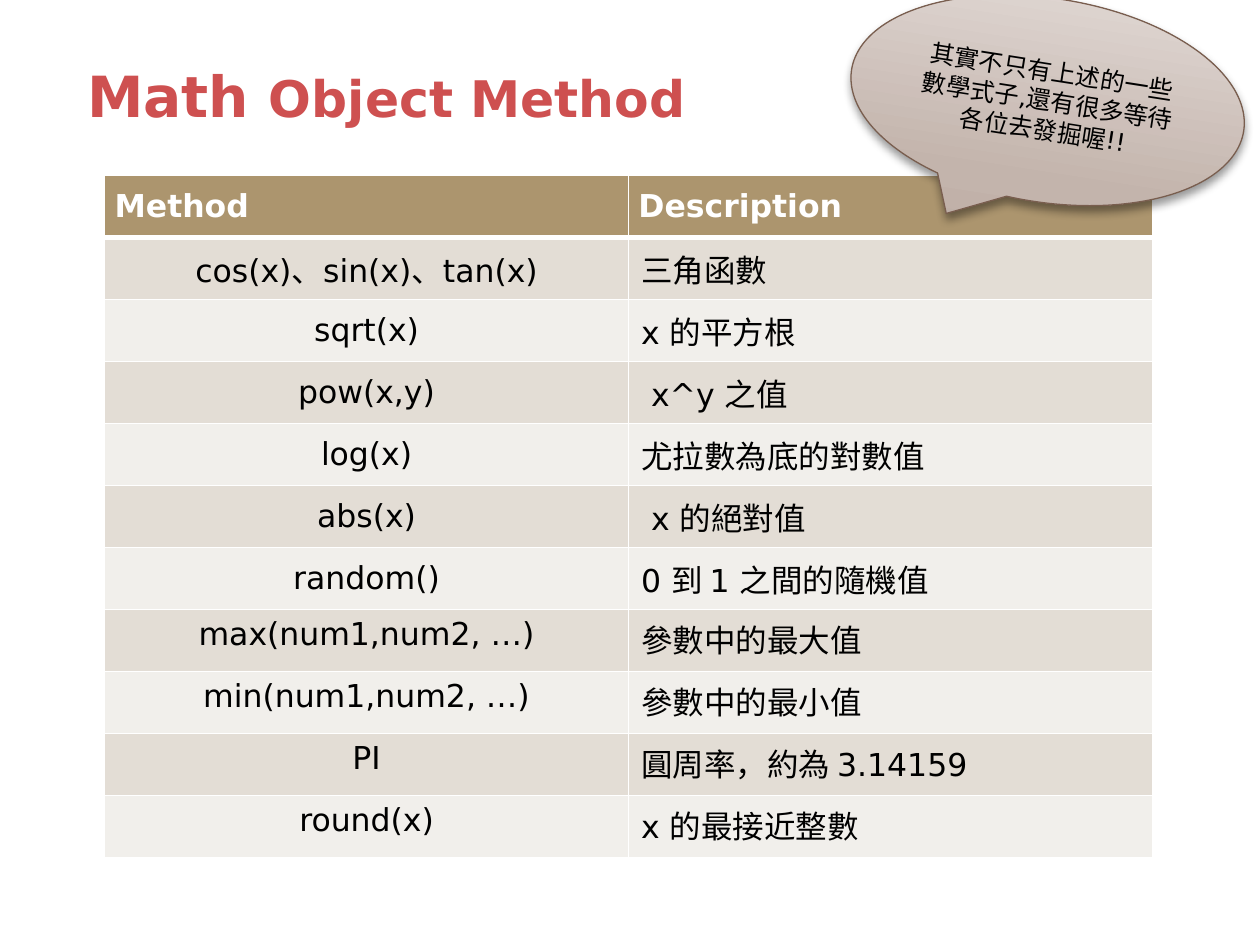
from lxml import etree
from pptx import Presentation
from pptx.dml.color import RGBColor
from pptx.enum.shapes import MSO_SHAPE
from pptx.enum.text import MSO_ANCHOR, MSO_AUTO_SIZE, PP_ALIGN
from pptx.oxml import parse_xml
from pptx.oxml.ns import nsdecls, qn
from pptx.util import Cm, Pt

CALLOUT = MSO_SHAPE.OVAL_CALLOUT
LEFT, CENTER = PP_ALIGN.LEFT, PP_ALIGN.CENTER
TOP, MIDDLE, BOTTOM = MSO_ANCHOR.TOP, MSO_ANCHOR.MIDDLE, MSO_ANCHOR.BOTTOM
NO_AUTOFIT = MSO_AUTO_SIZE.NONE

FONT = "DejaVu Sans"
BLACK = RGBColor(0x00, 0x00, 0x00)
WHITE = RGBColor(0xFF, 0xFF, 0xFF)
RED = RGBColor(0xCE, 0x50, 0x50)
HEADER_FILL = RGBColor(0xAC, 0x95, 0x6E)
BAND_FILLS = (RGBColor(0xF1, 0xEF, 0xEB), RGBColor(0xE3, 0xDD, 0xD5))
CALLOUT_LINE = RGBColor(0x79, 0x5E, 0x4F)
CALLOUT_STOPS = (
    (0, RGBColor(0xBC, 0xAC, 0xA4)),
    (25, RGBColor(0xC3, 0xB4, 0xAC)),
    (100, RGBColor(0xE6, 0xDE, 0xDB)),
)

ROW_HEIGHT = Cm(1.25)
COLUMN_WIDTH = Cm(10.56)
TOP_ANCHORED_FROM = 7
METHODS = (
    ("Method", "Description"),
    ("cos(x)、sin(x)、tan(x)", "三角函數"),
    ("sqrt(x)", "x 的平方根"),
    ("pow(x,y)", " x^y 之值"),
    ("log(x)", "尤拉數為底的對數值"),
    ("abs(x)", " x 的絕對值"),
    ("random()", "0 到 1 之間的隨機值"),
    ("max(num1,num2, …)", "參數中的最大值"),
    ("min(num1,num2, …)", "參數中的最小值"),
    ("PI", "圓周率，約為 3.14159"),
    ("round(x)", "x 的最接近整數"),
)


def format_paragraph(paragraph, size, color, bold=False, alignment=LEFT):
    """Set the font and alignment of a paragraph."""
    paragraph.alignment = alignment
    font = paragraph.font
    font.name, font.size, font.bold = FONT, Pt(size), bold
    font.color.rgb = color


def set_borders(cell, top, bottom):
    """Draw white cell borders, with the top and bottom widths in points."""
    properties = cell._tc.get_or_add_tcPr()
    for side, width in (("L", 1), ("R", 1), ("T", top), ("B", bottom)):
        properties.append(parse_xml(
            f'<a:ln{side} {nsdecls("a")} w="{Pt(width)}"><a:solidFill>'
            f'<a:srgbClr val="{WHITE}"/></a:solidFill></a:ln{side}>'))


def format_cell(cell, row, column):
    """Format a table cell according to its place."""
    header = row == 0
    set_borders(cell, 3 if row == 1 else 1, 3 if header else 1)
    cell.fill.solid()
    cell.fill.fore_color.rgb = HEADER_FILL if header else BAND_FILLS[row % 2]
    cell.vertical_anchor = MIDDLE if row < TOP_ANCHORED_FROM else TOP
    if header:
        cell.margin_left = cell.margin_right = Cm(0.2)
        cell.margin_top = cell.margin_bottom = Cm(0.2)
    format_paragraph(cell.text_frame.paragraphs[0], 18,
                     WHITE if header else BLACK, header,
                     CENTER if column == 0 and not header else LEFT)


def add_title(slide):
    """Fill the title placeholder with its two text sizes."""
    title = slide.shapes.title
    title.left, title.top = Cm(1.5), Cm(1.32)
    title.width, title.height = Cm(14.8), Cm(1.4)
    frame = title.text_frame
    frame.auto_size, frame.vertical_anchor = NO_AUTOFIT, BOTTOM
    paragraph = frame.paragraphs[0]
    format_paragraph(paragraph, 32.4, RED, True)
    for text, size in (("Math ", 32.4), ("Object Method", 28.8)):
        run = paragraph.add_run()
        run.text, run.font.size = text, Pt(size)


def add_method_table(slide):
    """Add the table of methods and their descriptions."""
    table = slide.shapes.add_table(
        len(METHODS), 2, Cm(2.11), Cm(3.54),
        2 * COLUMN_WIDTH, len(METHODS) * ROW_HEIGHT).table
    for row, texts in enumerate(METHODS):
        table.rows[row].height = ROW_HEIGHT
        for column, text in enumerate(texts):
            cell = table.cell(row, column)
            cell.text = text
            format_cell(cell, row, column)


def set_gradient(shape):
    """Fill a shape with the callout gradient, running upwards."""
    shape.fill.gradient()
    gradient = shape._element.spPr.find(qn("a:gradFill"))
    stops = gradient.find(qn("a:gsLst"))
    for stop in list(stops):
        stops.remove(stop)
    for position, color in CALLOUT_STOPS:
        stop = etree.SubElement(stops, qn("a:gs"), pos=str(position * 1000))
        etree.SubElement(stop, qn("a:srgbClr"), val=str(color))
    gradient.find(qn("a:lin")).set("ang", str(270 * 60000))


def add_shadow(shape):
    """Give a shape a soft shadow below it."""
    shape.shadow.inherit = False
    effects = shape._element.spPr.find(qn("a:effectLst"))
    effects.append(parse_xml(
        f'<a:outerShdw {nsdecls("a")} blurRad="{Pt(5.2)}" dist="{Pt(3)}" '
        f'dir="{90 * 60000}" rotWithShape="0"><a:srgbClr val="{BLACK}">'
        '<a:alpha val="40000"/></a:srgbClr></a:outerShdw>'))


def add_callout(slide, text):
    """Add the tilted speech bubble."""
    callout = slide.shapes.add_shape(
        CALLOUT, Cm(17.12), Cm(-0.03), Cm(8), Cm(4.11))
    callout.rotation = 8.9
    set_gradient(callout)
    callout.line.color.rgb = CALLOUT_LINE
    callout.line.width = Pt(0.75)
    add_shadow(callout)
    frame = callout.text_frame
    frame.word_wrap, frame.vertical_anchor = True, MIDDLE
    frame.text = text
    format_paragraph(frame.paragraphs[0], 14, BLACK, alignment=CENTER)


def main():
    """Build and save the slide."""
    presentation = Presentation()
    presentation.slide_width, presentation.slide_height = Cm(25.4), Cm(19.05)
    slide = presentation.slides.add_slide(presentation.slide_layouts[5])
    add_title(slide)
    add_method_table(slide)
    add_callout(slide, "其實不只有上述的一些數學式子,還有很多等待各位去發掘喔!!")
    presentation.save("out.pptx")


main()
